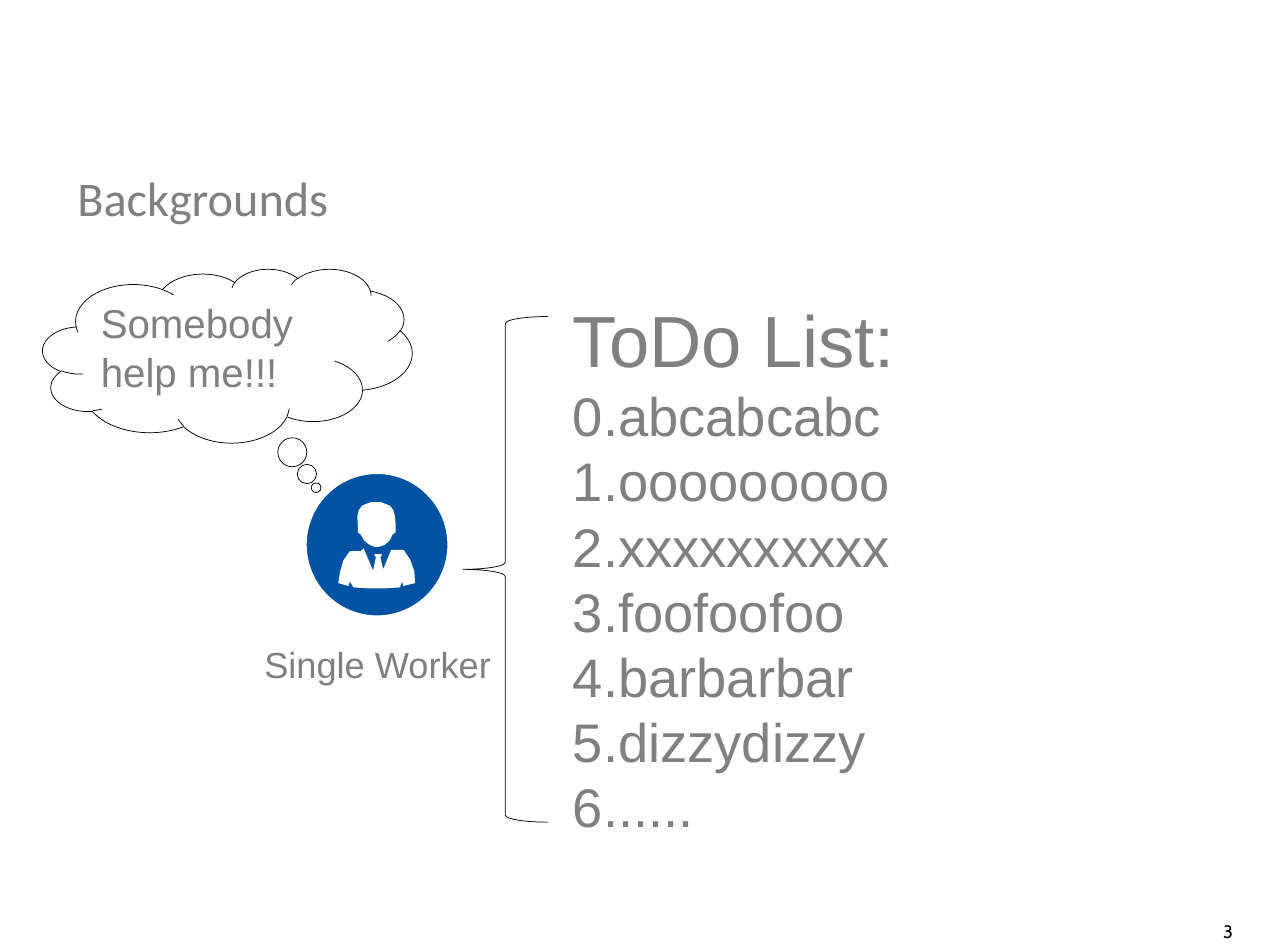
from pptx import Presentation
from pptx.dml.color import RGBColor
from pptx.enum.shapes import MSO_SHAPE
from pptx.enum.text import MSO_ANCHOR, PP_ALIGN
from pptx.util import Pt

GREY = RGBColor(0x80, 0x80, 0x80)
BLACK = RGBColor(0, 0, 0)
WHITE = RGBColor(255, 255, 255)
BLUE = RGBColor(0, 0x53, 0xA3)
OVAL, BRACE, CLOUD = MSO_SHAPE.OVAL, MSO_SHAPE.LEFT_BRACE, MSO_SHAPE.CLOUD_CALLOUT
LEFT, RIGHT, TOP = PP_ALIGN.LEFT, PP_ALIGN.RIGHT, MSO_ANCHOR.TOP

SIZE = (1280.16, 940.32)
LEAD = 1.2  # line pitch of the Arial text, in font sizes

TITLE = "Backgrounds"
WORKER = "Single Worker"
PLEA = "Somebody help me!!!"
HEAD = "ToDo List:"
TASKS = ["0.abcabcabc", "1.ooooooooo", "2.xxxxxxxxxx", "3.foofoofoo",
         "4.barbarbar", "5.dizzydizzy", "6......"]
PAGE = "3"

# Icon outlines in points: a pair is a corner, six numbers are a Bezier curve.
ICON_AT = (336.24, 497.52)
BODY = [(11.5, 50.4), (22.3, 50.4), (25.2, 47.5),
        (34.6, 69.8), (37.4, 56.2), (36, 54.7), (36, 53.3), (43.2, 53.3),
        (43.2, 54.7), (41.8, 56.2), (44.6, 68.4), (52.6, 49), (64.8, 49),
        (72, 56.2, 77.8, 71.3, 76.3, 82.1), (64.8, 85),
        (63.4, 80.6), (61.2, 86.4), (46.8, 87.8, 28.1, 87.8, 15.1, 86.4),
        (11.5, 80.6), (10.1, 85), (0, 82.1),
        (1.4, 72.7, 2.9, 57.6, 11.5, 50.4)]
FACE = [(22.3, 33.8), (19.4, 31.7), (19.4, 24.5),
        (18, 13.7, 19.4, 9.4, 23.8, 5), (30.2, 0, 44.6, 0, 51.1, 5),
        (55.4, 7.9, 56.9, 15.1, 56.9, 23), (56.9, 31.7), (54, 33.8),
        (52.6, 39.6, 46.1, 46.1, 40.3, 46.1), (36, 46.1),
        (29.5, 43.9, 25.2, 41, 22.3, 33.8)]
STEPS = 3


def write(shape, lines, font="Arial", color=GREY, align=LEFT, lead=LEAD, wrap=True):
    """Fill a shape with (text, size) lines."""
    frame = shape.text_frame
    frame.word_wrap = wrap
    frame.vertical_anchor = TOP
    frame.text = "\n".join(text for text, _ in lines)
    for para, (_, size) in zip(frame.paragraphs, lines):
        para.alignment = align
        if lead:
            para.line_spacing = Pt(size * lead)
        face = para.runs[0].font
        face.name, face.size = font, Pt(size)
        face.color.rgb = color
    return frame


def add_text(box, lines, **style):
    return write(slide.shapes.add_textbox(*map(Pt, box)), lines, **style)


def paint(shape, fill=None, line=None, width=0.75):
    shape.shadow.inherit = False
    if fill is None:
        shape.fill.background()
    else:
        shape.fill.solid()
        shape.fill.fore_color.rgb = fill
    if line is None:
        shape.line.fill.background()
    else:
        shape.line.color.rgb = line
        shape.line.width = Pt(width)


def add_shape(home, kind, box, **style):
    shape = home.add_shape(kind, *map(Pt, box))
    paint(shape, **style)
    return shape


def trace(parts):
    """Turn corners and curves into EMU vertices."""
    spots = [parts[0]]
    for part in parts[1:]:
        if len(part) == 2:
            spots.append(part)
            continue
        ends = (spots[-1], part[:2], part[2:4], part[4:])
        for step in range(1, STEPS + 1):
            t = step / STEPS
            u = 1 - t
            mix = (u ** 3, 3 * u * u * t, 3 * u * t * t, t ** 3)
            spots.append(tuple(sum(m * e[axis] for m, e in zip(mix, ends))
                               for axis in (0, 1)))
    return [(Pt(x), Pt(y)) for x, y in spots]


def add_figure(home):
    body, face = trace(BODY), trace(FACE)
    pen = home.build_freeform(*body[0])
    pen.add_line_segments(body[1:-1], close=True)
    pen.move_to(*face[0])
    pen.add_line_segments(face[1:-1], close=True)
    paint(pen.convert_to_shape(*map(Pt, ICON_AT)), fill=WHITE)


deck = Presentation()
deck.slide_width, deck.slide_height = map(Pt, SIZE)
slide = deck.slides.add_slide(deck.slide_layouts[6])

page = add_text((1104.48, 908.64, 133.2, 31.68), [(PAGE, 18)], font="Cabin",
                color=BLACK, align=RIGHT, lead=None)
page.margin_left = page.margin_right = Pt(12.24)
page.margin_top = page.margin_bottom = Pt(6.48)

add_text((69.84, 164.16, 936, 65.52), [(TITLE, 48)], font="Calibri", lead=None)

icon = slide.shapes.add_group_shape().shapes
add_shape(icon, OVAL, (303.84, 470.16, 141.84, 142.56), fill=BLUE, line=WHITE, width=2)
add_figure(icon)

add_shape(slide.shapes, BRACE, (460.08, 314.64, 84.24, 502.56), line=BLACK)
add_text((255.6, 635.04, 239.76, 50.4), [(WORKER, 36)], wrap=False)

cloud = add_shape(slide.shapes, CLOUD, (42.48, 267.12, 367.2, 172.8), line=BLACK)
cloud.adjustments[0], cloud.adjustments[1] = 0.24, 0.76
write(cloud, [(PLEA, 40)])

add_text((562.32, 290.16, 483.84, 547.2),
         [(HEAD, 72)] + [(task, 54) for task in TASKS])

deck.save("out.pptx")
